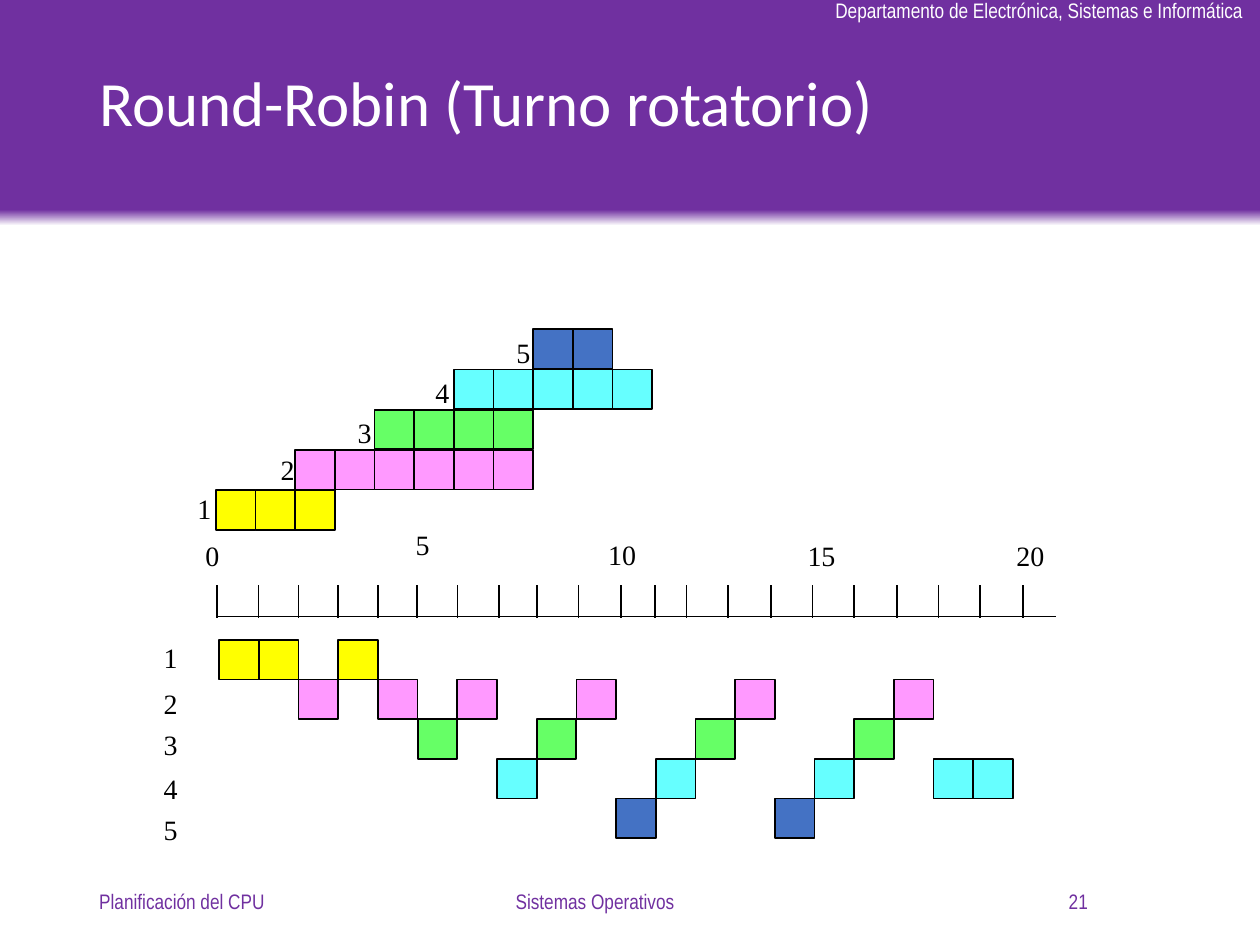
from dataclasses import dataclass

from lxml import etree
from pptx import Presentation
from pptx import util as u
from pptx.dml.color import RGBColor
from pptx.enum import shapes, text
from pptx.oxml.ns import qn


@dataclass(frozen=True)
class Theme:
    purple: RGBColor = RGBColor(0x70, 0x30, 0xA0)
    white: RGBColor = RGBColor(0xFF, 0xFF, 0xFF)
    black: RGBColor = RGBColor(0, 0, 0)
    yellow: RGBColor = RGBColor(0xFF, 0xFF, 0x00)
    pink: RGBColor = RGBColor(0xFF, 0x99, 0xFF)
    green: RGBColor = RGBColor(0x66, 0xFF, 0x66)
    cyan: RGBColor = RGBColor(0x66, 0xFF, 0xFF)
    blue: RGBColor = RGBColor(0x44, 0x72, 0xC4)
    title: u.Pt = u.Pt(36)
    label: u.Pt = u.Pt(16)
    small: u.Pt = u.Pt(12)
    stroke: u.Pt = u.Pt(1)


theme = Theme()
SLOT = 0.8  # side of one time unit, in cm

deck = Presentation()
deck.slide_width, deck.slide_height = u.Cm(25.4), u.Cm(19.05)
page = deck.slides.add_slide(deck.slide_layouts[6])


def add_text(words, left, top, width, height, size=theme.label, color=theme.black,
             font="Times New Roman", align=text.PP_ALIGN.LEFT,
             anchor=text.MSO_ANCHOR.TOP, wrap=False):
    box = page.shapes.add_textbox(u.Cm(left), u.Cm(top), u.Cm(width), u.Cm(height))
    box.text_frame.word_wrap = wrap
    box.text_frame.vertical_anchor = anchor
    para = box.text_frame.paragraphs[0]
    para.alignment = align
    span = para.add_run()
    span.text = words
    span.font.name, span.font.size, span.font.color.rgb = font, size, color
    return para


def add_slot(left, top, color):
    """Draw one time unit of a process."""
    box = page.shapes.add_shape(shapes.MSO_SHAPE.RECTANGLE, u.Cm(left), u.Cm(top),
                                u.Cm(SLOT), u.Cm(SLOT))
    box.shadow.inherit = False
    box.fill.solid()
    box.fill.fore_color.rgb = color
    box.line.color.rgb = theme.black
    box.line.width = theme.stroke


# Banner fading to white along its lower edge
banner = page.shapes.add_shape(shapes.MSO_SHAPE.RECTANGLE, 0, 0, deck.slide_width, u.Cm(4.55))
banner.shadow.inherit = False
banner.line.fill.background()
banner.fill.gradient()
banner.fill.gradient_angle = 90
for stop, color, position in zip(banner.fill.gradient_stops,
                                 (theme.white, theme.purple), (0, 0.07)):
    stop.color.rgb = color
    stop.position = position

add_text("Departamento de Electrónica, Sistemas e Informática", 16.59, -0.18, 8.84, 0.76,
         theme.small, theme.white, "Arial Narrow")
title = add_text("Round-Robin (Turno rotatorio)", 1.75, 0.38, 21.9, 3.53, theme.title,
                 theme.white, "Calibri", anchor=text.MSO_ANCHOR.MIDDLE, wrap=True)
title.line_spacing = 0.9

footers = [
    ("Planificación del CPU", 1.75, 5.72, text.PP_ALIGN.LEFT),
    ("Sistemas Operativos", 7.7, 8.59, text.PP_ALIGN.CENTER),
    ("21", 16.46, 5.72, text.PP_ALIGN.RIGHT),
]
for words, left, width, align in footers:
    add_text(words, left, 17.65, width, 1.02, theme.small, theme.purple, "Arial Narrow",
             align, text.MSO_ANCHOR.MIDDLE, True)

# Time axis
ticks = [4.37, 5.21, 6.02, 6.81, 7.62, 8.41, 9.22, 10.06, 10.82, 11.66, 12.52,
         13.21, 13.84, 14.68, 15.54, 16.38, 17.22, 18.08, 18.92, 19.76, 20.62]
axis_lines = [(4.39, 12.43, 21.28, 12.43)] + [(x, 12.45, x, 11.79) for x in ticks]
for ends in axis_lines:
    line = page.shapes.add_connector(shapes.MSO_CONNECTOR.STRAIGHT, *map(u.Cm, ends))
    line.line.color.rgb = theme.black
    line.line.width = theme.stroke
    etree.SubElement(line.element.spPr, qn("a:effectLst"))

for time, left, top in [(0, 3.89, 10.74), (5, 8.13, 10.52), (10, 12.01, 10.72),
                        (15, 16.03, 10.74), (20, 20.24, 10.74)]:
    add_text(str(time), left, top, 0.79 if time < 10 else 1.07, 0.91)

# Arrivals: process, units needed, label left and top; one arrives every two units
colors = dict(enumerate((theme.yellow, theme.pink, theme.green, theme.cyan, theme.blue), 1))
arrivals = [(1, 3, 3.73, 9.78), (2, 6, 5.41, 8.99), (3, 4, 6.96, 8.26),
            (4, 5, 8.53, 7.44), (5, 2, 10.16, 6.63)]
for process, units, label_left, label_top in arrivals:
    row = process - 1
    for unit in range(units):
        add_slot(4.35 + SLOT * (2 * row + unit), 9.88 - 0.81 * row, colors[process])
    add_text(str(process), label_left, label_top, 0.79, 0.94)

# Schedule: the process that runs in each unit of time
for process, top in enumerate((12.78, 13.72, 14.55, 15.42, 16.26), 1):
    add_text(str(process), 3.05, top, 0.79, 0.91)
schedule = [1, 1, 2, 1, 2, 3, 2, 4, 3, 2, 5, 4, 3, 2, 5, 4, 3, 2, 4, 4]
for time, process in enumerate(schedule):
    add_slot(4.42 + SLOT * time, 12.9 + SLOT * (process - 1), colors[process])

deck.save("out.pptx")
